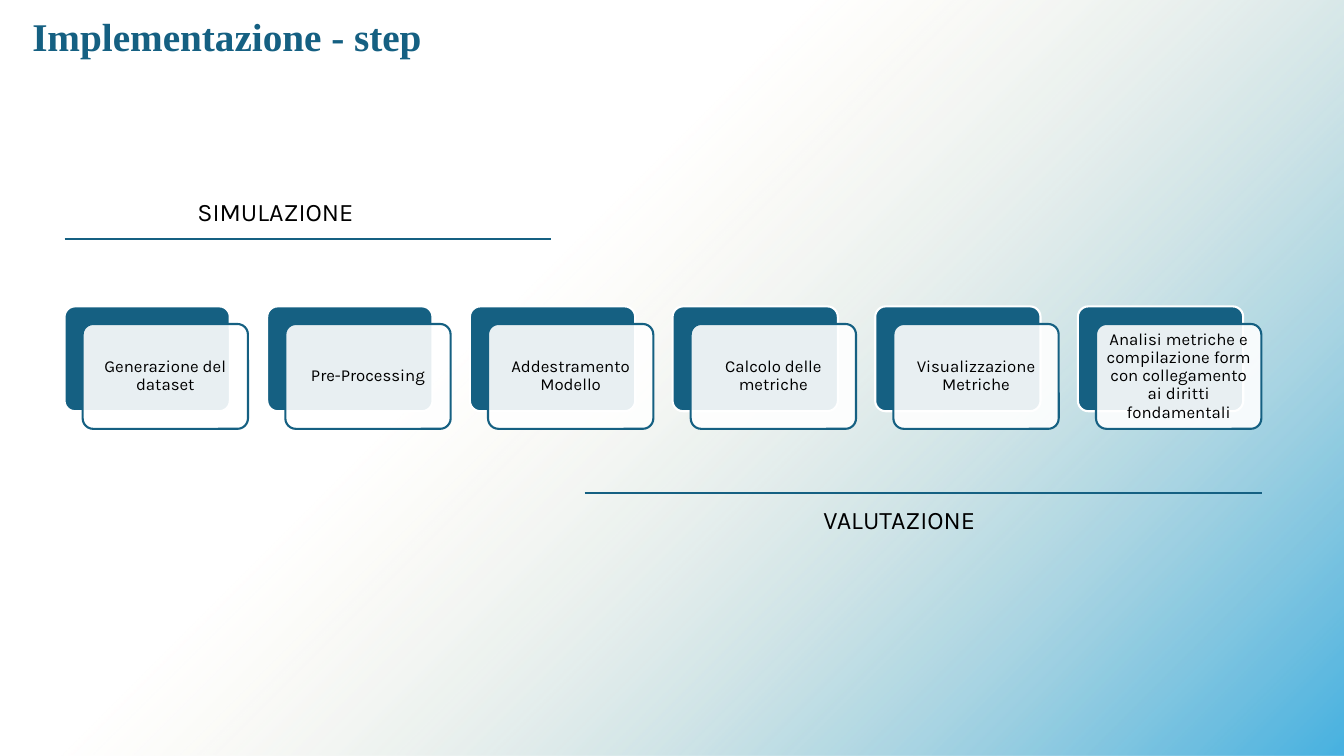
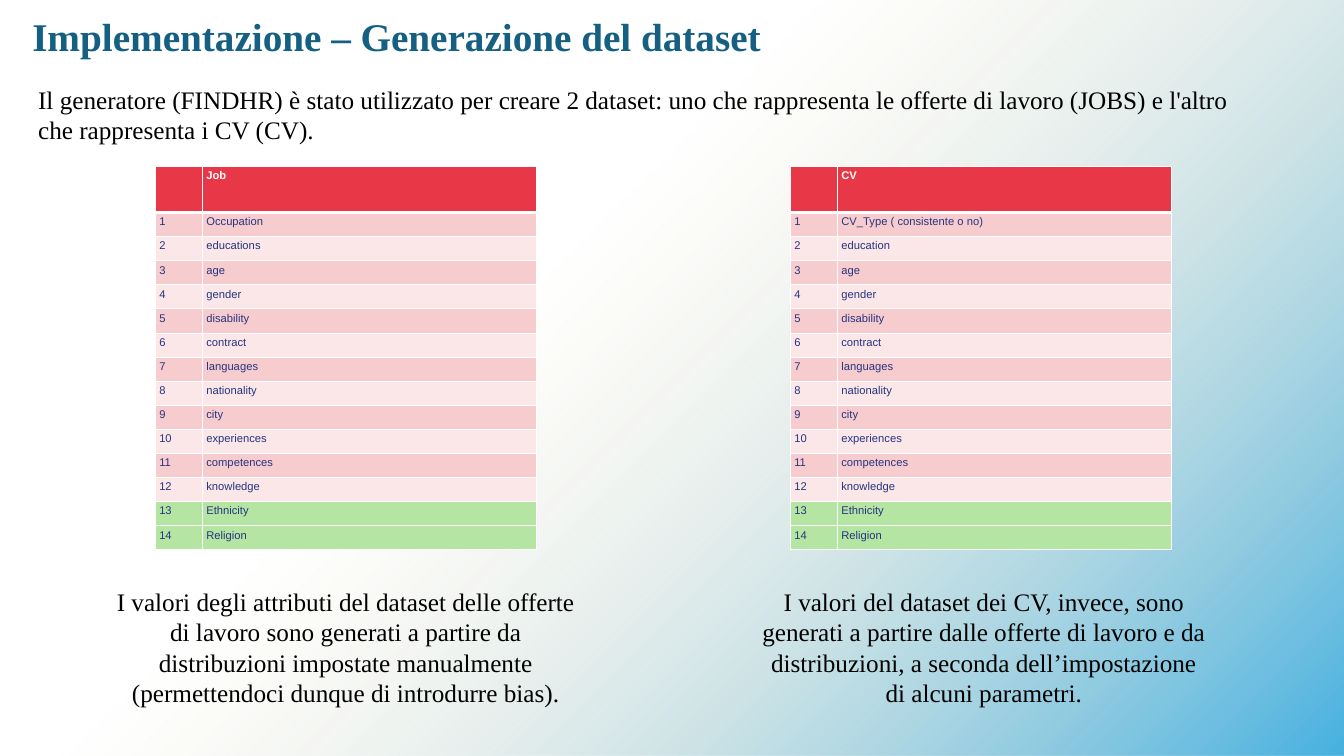
"""Build two slides on the implementation steps and the generated datasets."""
from lxml.etree import SubElement
from pptx import Presentation
from pptx.dml.color import RGBColor
from pptx.enum.shapes import MSO_CONNECTOR, MSO_SHAPE
from pptx.enum.text import MSO_ANCHOR, MSO_AUTO_SIZE, PP_ALIGN
from pptx.oxml import parse_xml
from pptx.oxml.ns import nsdecls, qn
from pptx.util import Inches, Pt

TEAL, WHITE, BLACK, NAVY = "156082", "FFFFFF", "000000", "27347F"
RED, ROSE, PALE_ROSE, GREEN = "E83847", "F6CCCE", "FBE7E8", "B4E5A2"
TITLE_FONT = {"name": "Times New Roman", "size": Pt(28), "bold": True}
PROSE_FONT = {"name": "Times New Roman", "size": Pt(18)}
PHASE_FONT = {"name": "Karla", "size": Pt(18)}
STEP_FONT = {"name": "Karla", "size": Pt(12)}
HEADER_FONT = {"name": "Arial", "size": Pt(8), "bold": True}
CELL_FONT = {"name": "Arial", "size": Pt(8), "bold": False}
colour = RGBColor.from_string

deck = Presentation()
deck.slide_width, deck.slide_height = Inches(13.33), Inches(7.5)


def area(left, top, width, height):
    """Turn percentages of the slide into lengths."""
    sides = (deck.slide_width, deck.slide_height) * 2
    return [round(side * share / 100) for side, share in zip(sides, (left, top, width, height))]


def write(frame, text, font, ink=BLACK, align=PP_ALIGN.LEFT, anchor=MSO_ANCHOR.TOP):
    """Fill a text frame with one formatted paragraph."""
    frame.text = text
    frame.word_wrap = True
    frame.auto_size = MSO_AUTO_SIZE.NONE
    frame.vertical_anchor = anchor
    frame.paragraphs[0].alignment = align
    for run in frame.paragraphs[0].runs:
        for key, value in font.items():
            setattr(run.font, key, value)
        run.font.color.rgb = colour(ink)


slides = []
for heading in ("Implementazione - step", "Implementazione – Generazione del dataset"):
    slide = deck.slides.add_slide(deck.slide_layouts[5])
    backdrop = slide.shapes.add_shape(MSO_SHAPE.RECTANGLE, *area(0, -0.8, 100, 100.93))
    backdrop.shadow.inherit = False
    backdrop.line.fill.background()
    backdrop._element.spPr.insert(2, parse_xml(
        f'<a:gradFill {nsdecls("a")} rotWithShape="1"><a:gsLst>'
        '<a:gs pos="0"><a:srgbClr val="46B1E1"/></a:gs>'
        '<a:gs pos="61000"><a:srgbClr val="E3D8BB"><a:alpha val="0"/></a:srgbClr></a:gs>'
        '</a:gsLst><a:path path="circle"><a:fillToRect l="100000" t="100000"/></a:path>'
        '<a:tileRect r="-100000" b="-100000"/></a:gradFill>'))
    slide.shapes._spTree.insert(2, backdrop._element)
    title = slide.shapes.title
    title.left, title.top, title.width, title.height = area(1.65, 0.93, 71.18, 7.6)
    write(title.text_frame, heading, TITLE_FONT, TEAL)
    slides.append(slide)
steps_slide, dataset_slide = slides

steps = [
    "Generazione del dataset", "Pre-Processing", "Addestramento Modello",
    "Calcolo delle metriche", "Visualizzazione Metriche",
    "Analisi metriche e compilazione form con collegamento ai diritti fondamentali",
]
for column, step in enumerate(steps):
    for shift_x, shift_y, fill, edge in ((0, 0, TEAL, WHITE), (1.35, 2.33, WHITE, TEAL)):
        card = steps_slide.shapes.add_shape(
            MSO_SHAPE.ROUNDED_RECTANGLE,
            *area(4.8 + 15.08 * column + shift_x, 40.53 + shift_y, 12.3, 13.87))
        card.adjustments[0] = 0.1
        card.shadow.inherit = False
        card.fill.solid()
        card.fill.fore_color.rgb = colour(fill)
        card.line.color.rgb = colour(edge)
        card.line.width = Pt(1.5)
    SubElement(card._element.spPr.find(".//" + qn("a:srgbClr")), qn("a:alpha"), val="90000")
    write(card.text_frame, step, STEP_FONT, align=PP_ALIGN.CENTER, anchor=MSO_ANCHOR.MIDDLE)
    card.text_frame.paragraphs[0].line_spacing = 0.9
    for side in ("left", "right", "top", "bottom"):
        setattr(card.text_frame, f"margin_{side}", Inches(0.04))

phases = [
    ("SIMULAZIONE", (4.8, 41.03, 31.6), (13.95, 25.33, 28.88, 5.33)),
    ("VALUTAZIONE", (43.5, 93.9, 65.2), (60.53, 66, 39, 5.33)),
]
for phase, (start, end, level), label_area in phases:
    rule = steps_slide.shapes.add_connector(
        MSO_CONNECTOR.STRAIGHT, *area(start, level, end, level))
    rule.line.color.rgb = colour(TEAL)
    rule.line.width = Pt(1.5)
    SubElement(rule._element.spPr, qn("a:effectLst"))
    write(steps_slide.shapes.add_textbox(*area(*label_area)).text_frame, phase, PHASE_FONT)

shared_fields = [
    "age", "gender", "disability", "contract", "languages", "nationality", "city",
    "experiences", "competences", "knowledge", "Ethnicity", "Religion",
]
datasets = [
    (11.55, ["Job", "Occupation", "educations"]),
    (58.8, ["CV", "CV_Type ( consistente o no)", "education"]),
]
for left, first_fields in datasets:
    fields = first_fields + shared_fields
    table = dataset_slide.shapes.add_table(
        len(fields), 2, *area(left, 22, 28.35, 50.79)).table
    for column, share in zip(table.columns, (3.5, 24.85)):
        column.width = area(0, 0, share, 0)[2]
    for number, field in enumerate(fields):
        table.rows[number].height = area(0, 0, 0, 3.19 if number else 6.13)[3]
        if number == 0:
            fill = RED
        elif number > 12:
            fill = GREEN
        else:
            fill = ROSE if number % 2 else PALE_ROSE
        for column, text in enumerate((str(number or ""), field)):
            cell = table.cell(number, column)
            cell.margin_left = cell.margin_right = Inches(0.04)
            cell.margin_top = cell.margin_bottom = Inches(0.03)
            write(cell.text_frame, text, CELL_FONT if number else HEADER_FONT,
                  NAVY if number else WHITE)
            heavy = {0: "lnB", 1: "lnT"}.get(number)
            for edge in ("lnL", "lnR", "lnT", "lnB"):
                width = Pt(2.4 if edge == heavy else 0.8)
                cell._tc.get_or_add_tcPr().append(parse_xml(
                    f'<a:{edge} {nsdecls("a")} w="{width}"><a:solidFill>'
                    f'<a:srgbClr val="{WHITE}"/></a:solidFill></a:{edge}>'))
            cell.fill.solid()
            cell.fill.fore_color.rgb = colour(fill)

passages = [
    ((2.1, 10.45, 90.53, 9.47), PP_ALIGN.LEFT,
     "Il generatore (FINDHR) è stato utilizzato per creare 2 dataset: uno che rappresenta "
     "le offerte di lavoro (JOBS) e l'altro che rappresenta i CV (CV)."),
    ((7.13, 76.93, 37.2, 17.47), PP_ALIGN.CENTER,
     "I valori degli attributi del dataset delle offerte di lavoro sono generati a partire "
     "da distribuzioni impostate manualmente (permettendoci dunque di introdurre bias)."),
    ((55.73, 76.93, 34.95, 17.47), PP_ALIGN.CENTER,
     "I valori del dataset dei CV, invece, sono generati a partire dalle offerte di lavoro "
     "e da distribuzioni, a seconda dell’impostazione di alcuni parametri."),
]
for passage_area, align, passage in passages:
    frame = dataset_slide.shapes.add_textbox(*area(*passage_area)).text_frame
    write(frame, passage, PROSE_FONT, align=align)

deck.save("out.pptx")
